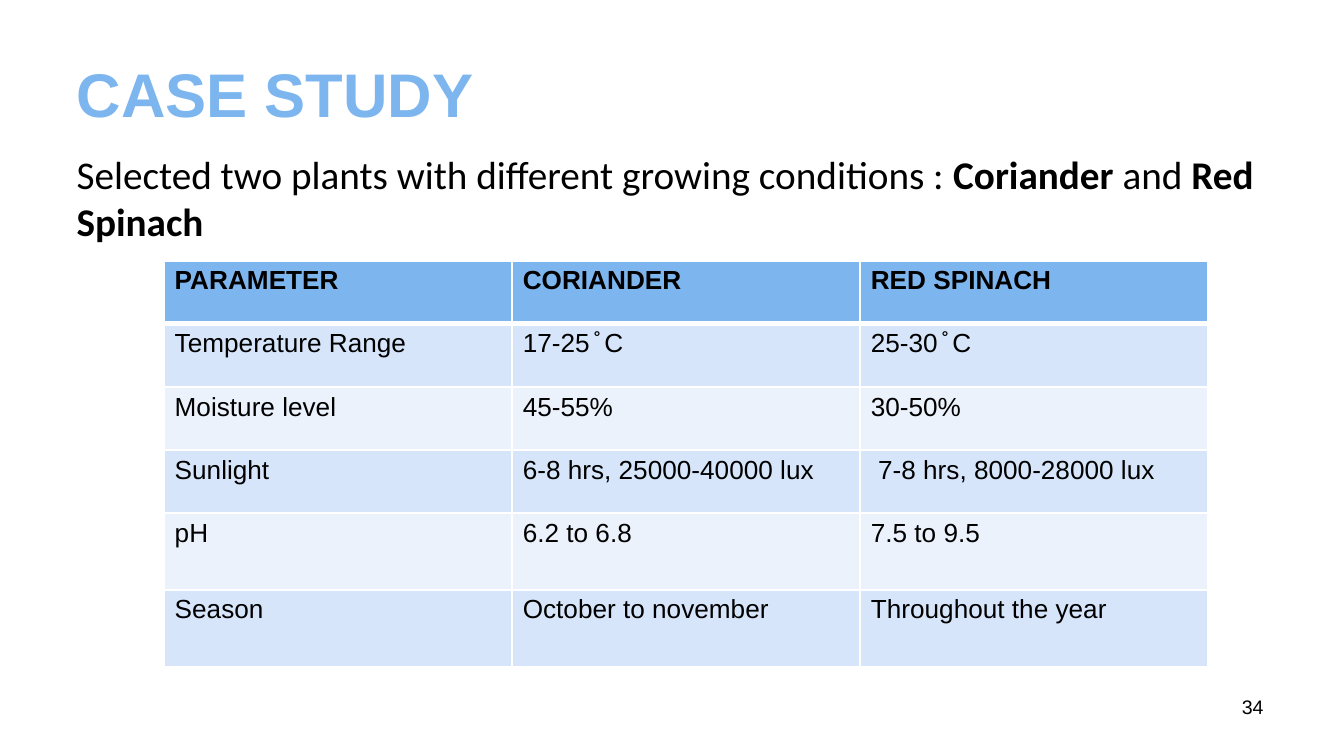
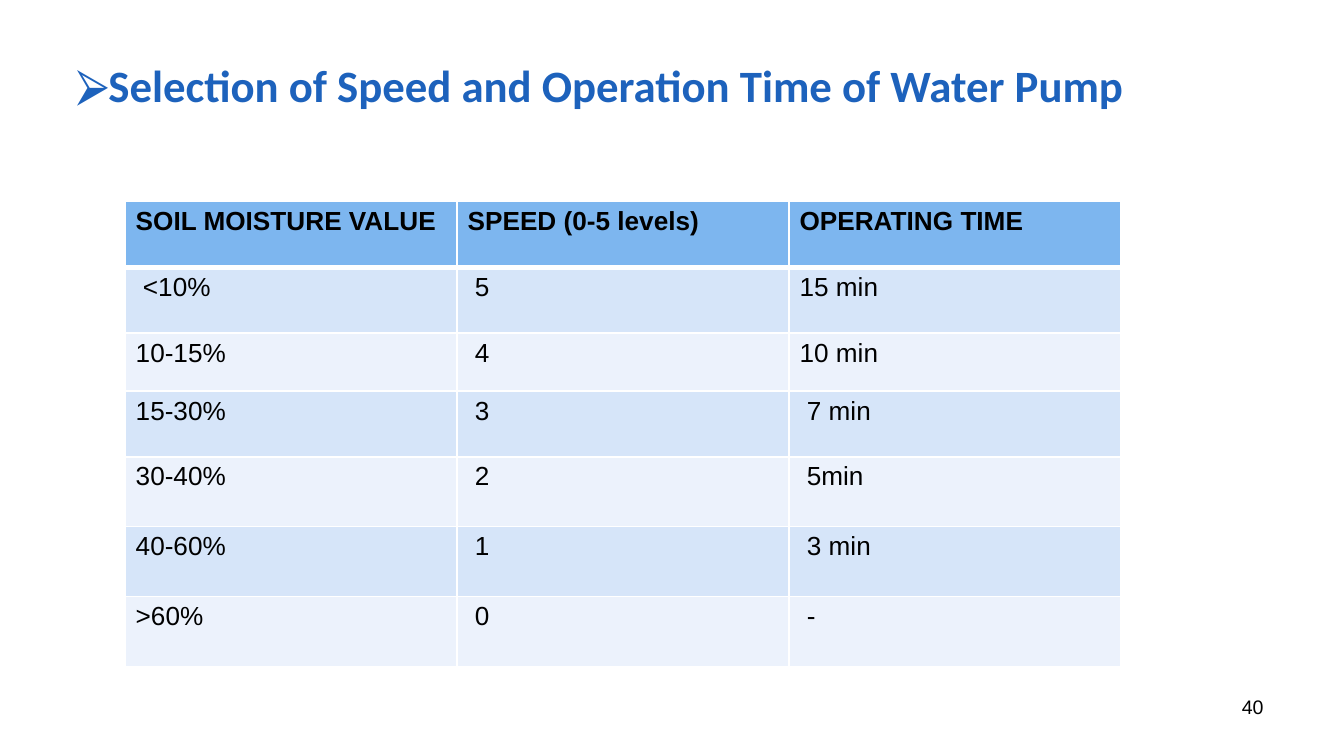
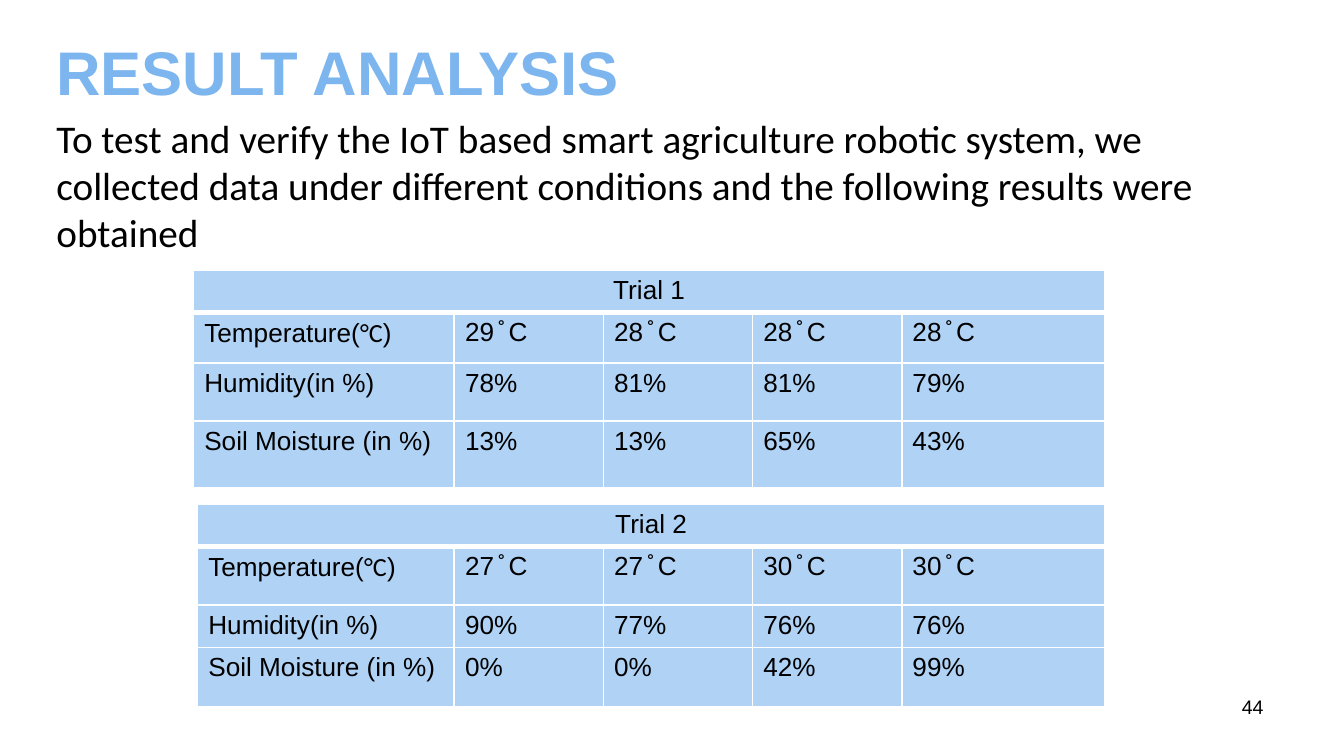
from lxml.etree import SubElement
from pptx import Presentation
from pptx.dml.color import RGBColor
from pptx.enum.text import MSO_ANCHOR as Anchor, MSO_AUTO_SIZE as AutoSize, PP_ALIGN as Align
from pptx.oxml import parse_xml
from pptx.oxml.ns import nsdecls, qn
from pptx.util import Inches, Pt

SKY = RGBColor(0x7D, 0xB6, 0xEF)
ROYAL = RGBColor(0x1D, 0x62, 0xBC)
BAND_DARK = RGBColor(0xD6, 0xE5, 0xF9)
BAND_LIGHT = RGBColor(0xEC, 0xF2, 0xFC)
TRIAL_BLUE = RGBColor(0xAF, 0xD2, 0xF5)
BLACK = RGBColor(0, 0, 0)
WHITE = RGBColor(0xFF, 0xFF, 0xFF)

PAGE_WIDTH = 10
PAGE_HEIGHT = PAGE_WIDTH * 9 / 16
TITLE_ONLY = 5
TEXT_INSETS = (0.07, 0.04)
CELL_INSETS = (0.08, 0.04)
THIN, THICK = 1, 3


def set_insets(target, insets):
    """Set the side and the top and bottom margins of a frame or cell."""
    side, upright = map(Inches, insets)
    target.margin_left = target.margin_right = side
    target.margin_top = target.margin_bottom = upright


def write_text(frame, spans, size=14, font="Arial", color=BLACK, bold=False, align=Align.LEFT):
    """Write a string or (text, overrides) spans as one paragraph and return it."""
    para = frame.paragraphs[0]
    para.alignment = align
    for text, changes in [(spans, {})] if isinstance(spans, str) else spans:
        span = para.add_run()
        span.text = text
        span.font.size = Pt(size)
        span.font.name = changes.get("font", font)
        span.font.bold = changes.get("bold", bold)
        span.font.color.rgb = color
    return para


def add_bullet(para, symbol, color, hang):
    """Give a paragraph a coloured bullet with a hanging indent in inches."""
    props = para._p.get_or_add_pPr()
    props.set("marL", "0")
    props.set("indent", str(-Inches(hang)))
    fill = SubElement(props, qn("a:buClr"))
    SubElement(fill, qn("a:srgbClr"), val=str(color))
    SubElement(props, qn("a:buFont"), typeface="Arial")
    SubElement(props, qn("a:buChar"), char=symbol)


def add_page(deck, number):
    """Add a title-only page with its number at the lower right."""
    page = deck.slides.add_slide(deck.slide_layouts[TITLE_ONLY])
    add_text(page, (7.17, 5.12, 2.33, 0.39), str(number), insets=(0.1, 0.05),
             size=10.5, align=Align.RIGHT)
    return page


def add_title(page, box, text, anchor=Anchor.MIDDLE, size=33, color=SKY, font="Arial"):
    """Place and format the title placeholder and return its paragraph."""
    title = page.shapes.title
    title.left, title.top, title.width, title.height = map(Inches, box)
    frame = title.text_frame
    frame.auto_size = AutoSize.NONE
    frame.vertical_anchor = anchor
    set_insets(frame, TEXT_INSETS)
    return write_text(frame, text, size=size, font=font, color=color, bold=True)


def add_text(page, box, spans, insets=TEXT_INSETS, **style):
    """Add a wrapping text box."""
    frame = page.shapes.add_textbox(*map(Inches, box)).text_frame
    frame.word_wrap = True
    set_insets(frame, insets)
    write_text(frame, spans, **style)


def add_intro(page, box, spans):
    """Add the introductory sentence under a title."""
    add_text(page, box, spans, size=21, font="Calibri")


def set_borders(cell, top, bottom):
    """Draw white cell borders, with the given top and bottom widths in points."""
    props = cell._tc.get_or_add_tcPr()
    sides = {"lnL": THIN, "lnR": THIN, "lnT": top, "lnB": bottom}
    for index, (side, width) in enumerate(sides.items()):
        props.insert(index, parse_xml(
            f'<a:{side} {nsdecls("a")} w="{Pt(width)}"><a:solidFill>'
            f'<a:srgbClr val="{WHITE}"/></a:solidFill></a:{side}>'))


def add_grid(page, corner, widths, heights, rows, fills, **header_style):
    """Add a table; fills holds the header colour, then the cycle of body colours."""
    header_fill, *bands = fills
    left, top = corner
    box = (left, top, sum(widths), sum(heights))
    grid = page.shapes.add_table(len(heights), len(widths), *map(Inches, box)).table
    grid.horz_banding = False
    for column, width in zip(grid.columns, widths):
        column.width = Inches(width)
    for index, (row, height) in enumerate(zip(grid.rows, heights)):
        row.height = Inches(height)
        fill = bands[(index - 1) % len(bands)] if index else header_fill
        for cell in row.cells:
            set_insets(cell, CELL_INSETS)
            cell.fill.solid()
            cell.fill.fore_color.rgb = fill
            set_borders(cell, THICK if index == 1 else THIN, THIN if index else THICK)
        for cell, text in zip(row.cells, rows[index]):
            write_text(cell.text_frame, text, **({} if index else header_style))
    return grid


def add_banded_table(page, corner, column_width, heights, rows):
    """Add a three-column table with a bold header and two-tone rows."""
    add_grid(page, corner, [column_width] * 3, heights, rows,
             (SKY, BAND_DARK, BAND_LIGHT), bold=True)


def add_trial_table(page, corner, label_width, heights, name, readings):
    """Add a table of trial readings under one merged heading."""
    labels = [
        [("Temperature(", {}), ("°C", {"font": "Calibri"}), (")", {})],
        "Humidity(in %)",
        "Soil Moisture (in %)",
    ]
    rows = [[name]] + [[label, *values] for label, values in zip(labels, readings)]
    widths = [label_width, 1.11, 1.11, 1.11, 1.51]
    grid = add_grid(page, corner, widths, heights, rows,
                    (TRIAL_BLUE, TRIAL_BLUE), align=Align.CENTER)
    grid.cell(0, 0).merge(grid.cell(0, len(widths) - 1))


def build_case_study(deck):
    """Build the comparison of the two plants."""
    page = add_page(deck, 34)
    add_title(page, (0.5, 0.22, 9, 0.94), "CASE STUDY")
    add_intro(page, (0.5, 1.08, 9.3, 0.71), [
        ("Selected two plants with different growing conditions : ", {}),
        ("Coriander", {"bold": True}),
        (" and ", {}),
        ("Red Spinach", {"bold": True}),
    ])
    add_banded_table(page, (1.22, 1.94), 2.59, [0.47] * 4 + [0.57] * 2, [
        ("PARAMETER", "CORIANDER", "RED SPINACH"),
        ("Temperature Range", "17-25 ̊ C", "25-30 ̊ C"),
        ("Moisture level", "45-55%", "30-50%"),
        ("Sunlight", "6-8 hrs, 25000-40000 lux", " 7-8 hrs, 8000-28000 lux"),
        ("pH", "6.2 to 6.8", "7.5 to 9.5"),
        ("Season", "October to november", "Throughout the year"),
    ])


def build_pump_settings(deck):
    """Build the table of pump speeds and operating times."""
    page = add_page(deck, 40)
    heading = add_title(page, (0.5, 0.39, 9, 0.63),
                        "Selection of Speed and Operation Time of Water Pump",
                        anchor=Anchor.TOP, size=24, color=ROYAL, font="Calibri")
    add_bullet(heading, "⮚", ROYAL, 0.17)
    add_banded_table(page, (0.93, 1.5), 2.47, [0.49, 0.49, 0.43, 0.49] + [0.52] * 3, [
        ("SOIL MOISTURE VALUE", "SPEED (0-5 levels)", "OPERATING TIME"),
        (" <10%", " 5", "15 min"),
        ("10-15%", " 4", "10 min"),
        ("15-30%", " 3", " 7 min"),
        ("30-40%", " 2", " 5min"),
        ("40-60%", " 1", " 3 min"),
        (">60%", " 0", " -"),
    ])


def build_results(deck):
    """Build the readings of both trials."""
    page = add_page(deck, 44)
    add_title(page, (0.35, 0.06, 9, 0.94), "RESULT ANALYSIS")
    add_intro(page, (0.35, 0.81, 9, 3.71),
              "To test and verify the IoT based smart agriculture robotic system, we "
              "collected data under different conditions and the following results "
              "were obtained")
    add_trial_table(page, (1.44, 2.01), 1.94, [0.27, 0.38, 0.43, 0.5], "Trial 1", [
        ("29 ̊ C", "28 ̊ C", "28 ̊ C", "28 ̊ C"),
        ("78%", "81%", "81%", "79%"),
        ("13%", "13%", "65%", "43%"),
    ])
    add_trial_table(page, (1.47, 3.75), 1.91, [0.27, 0.44, 0.31, 0.44], "Trial 2", [
        ("27 ̊ C", "27 ̊ C", "30 ̊ C", "30 ̊ C"),
        ("90%", "77%", "76%", "76%"),
        ("0%", "0%", "42%", "99%"),
    ])


def main():
    """Build and save the deck."""
    deck = Presentation()
    deck.slide_width, deck.slide_height = Inches(PAGE_WIDTH), Inches(PAGE_HEIGHT)
    build_case_study(deck)
    build_pump_settings(deck)
    build_results(deck)
    deck.save("out.pptx")


if __name__ == "__main__":
    main()
